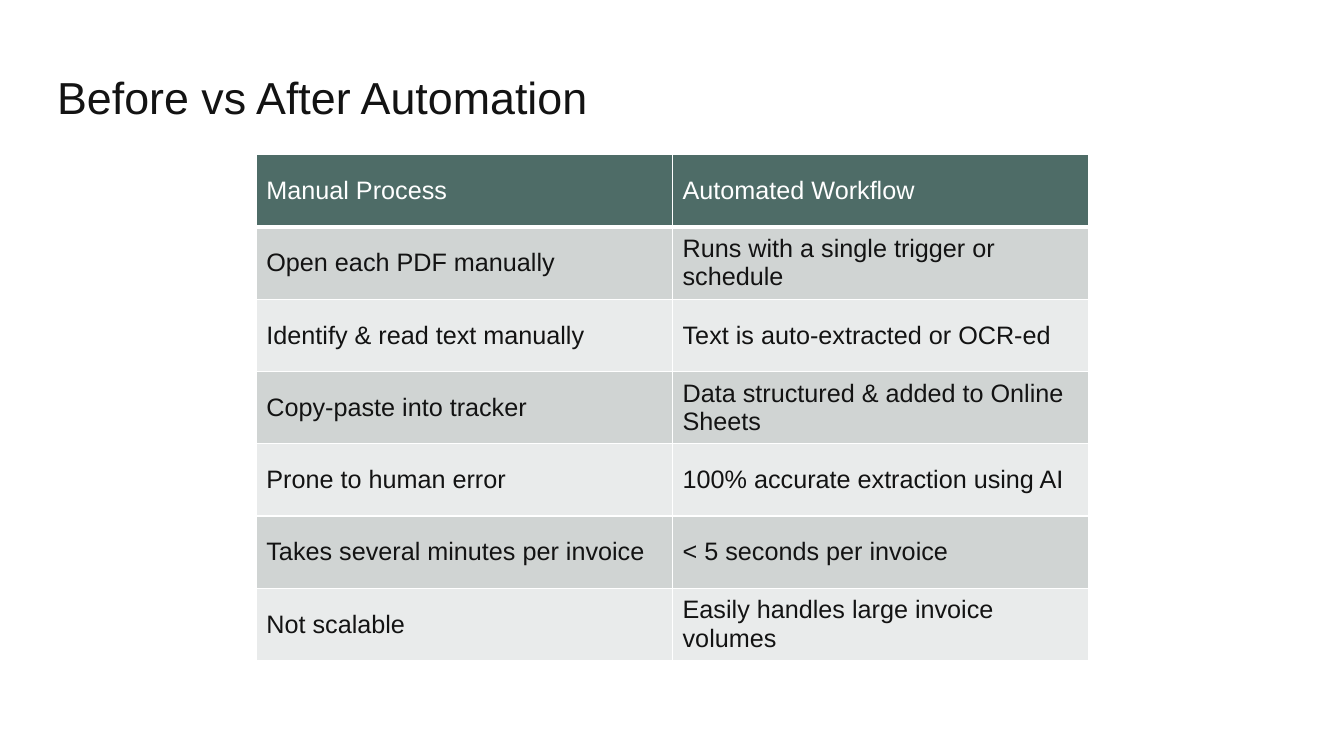
from lxml.etree import SubElement
from pptx import Presentation
from pptx.dml.color import RGBColor
from pptx.enum.text import MSO_ANCHOR as Anchor
from pptx.oxml.ns import qn
from pptx.util import Cm, Pt

INK = RGBColor(0x13, 0x13, 0x13)
WHITE = RGBColor(0xFF, 0xFF, 0xFF)
HEADER_GREEN = RGBColor(0x4E, 0x6C, 0x67)
BANDS = (RGBColor(0xD0, 0xD4, 0xD3), RGBColor(0xE9, 0xEB, 0xEB))

COMPARISON = [
    ("Manual Process", "Automated Workflow"),
    ("Open each PDF manually", "Runs with a single trigger or schedule"),
    ("Identify & read text manually", "Text is auto-extracted or OCR-ed"),
    ("Copy-paste into tracker", "Data structured & added to Online Sheets"),
    ("Prone to human error", "100% accurate extraction using AI"),
    ("Takes several minutes per invoice", "< 5 seconds per invoice"),
    ("Not scalable", "Easily handles large invoice volumes"),
]


class SlideBuilder:
    """Adds elements in one shared style to the current slide."""

    font_name = "Arial"
    title_size = Pt(32)
    body_size = Pt(18)

    def __init__(self, slide):
        self.slide = slide

    def style(self, paragraph, size, color):
        font = paragraph.font
        font.name, font.size, font.bold = self.font_name, size, False
        font.color.rgb = color

    def title(self, text, left, top, width, height):
        heading = self.slide.shapes.add_textbox(Cm(left), Cm(top), Cm(width), Cm(height))
        frame = heading.text_frame
        frame.word_wrap = True
        frame.vertical_anchor = Anchor.TOP
        frame.text = text
        frame.paragraphs[0].line_spacing = 0.9
        self.style(frame.paragraphs[0], self.title_size, INK)

    def borders(self, cell, top, bottom):
        properties = cell._tc.get_or_add_tcPr()
        for side, points in (("L", 1), ("R", 1), ("T", top), ("B", bottom)):
            line = SubElement(properties, qn(f"a:ln{side}"), w=str(Pt(points)))
            fill = SubElement(line, qn("a:solidFill"))
            SubElement(fill, qn("a:srgbClr"), val=str(WHITE))

    def table(self, rows, left, top, column_width, row_height):
        columns = len(rows[0])
        grid = self.slide.shapes.add_table(
            len(rows), columns, Cm(left), Cm(top),
            Cm(column_width * columns), Cm(row_height * len(rows)),
        ).table
        for row_index, texts in enumerate(rows):
            is_header = row_index == 0
            for column_index, text in enumerate(texts):
                cell = grid.cell(row_index, column_index)
                cell.text = text
                cell.vertical_anchor = Anchor.MIDDLE
                self.borders(cell, 3 if row_index == 1 else 1, 3 if is_header else 1)
                cell.fill.solid()
                cell.fill.fore_color.rgb = HEADER_GREEN if is_header else BANDS[(row_index - 1) % 2]
                self.style(cell.text_frame.paragraphs[0], self.body_size, WHITE if is_header else INK)


def main():
    deck = Presentation()
    deck.slide_width, deck.slide_height = Cm(33.87), Cm(19.05)
    builder = SlideBuilder(deck.slides.add_slide(deck.slide_layouts[6]))
    builder.title("Before vs After Automation", 1.19, 1.78, 31.47, 2.06)
    builder.table(COMPARISON, 6.46, 3.9, 10.49, 1.82)
    deck.save("out.pptx")


if __name__ == "__main__":
    main()
